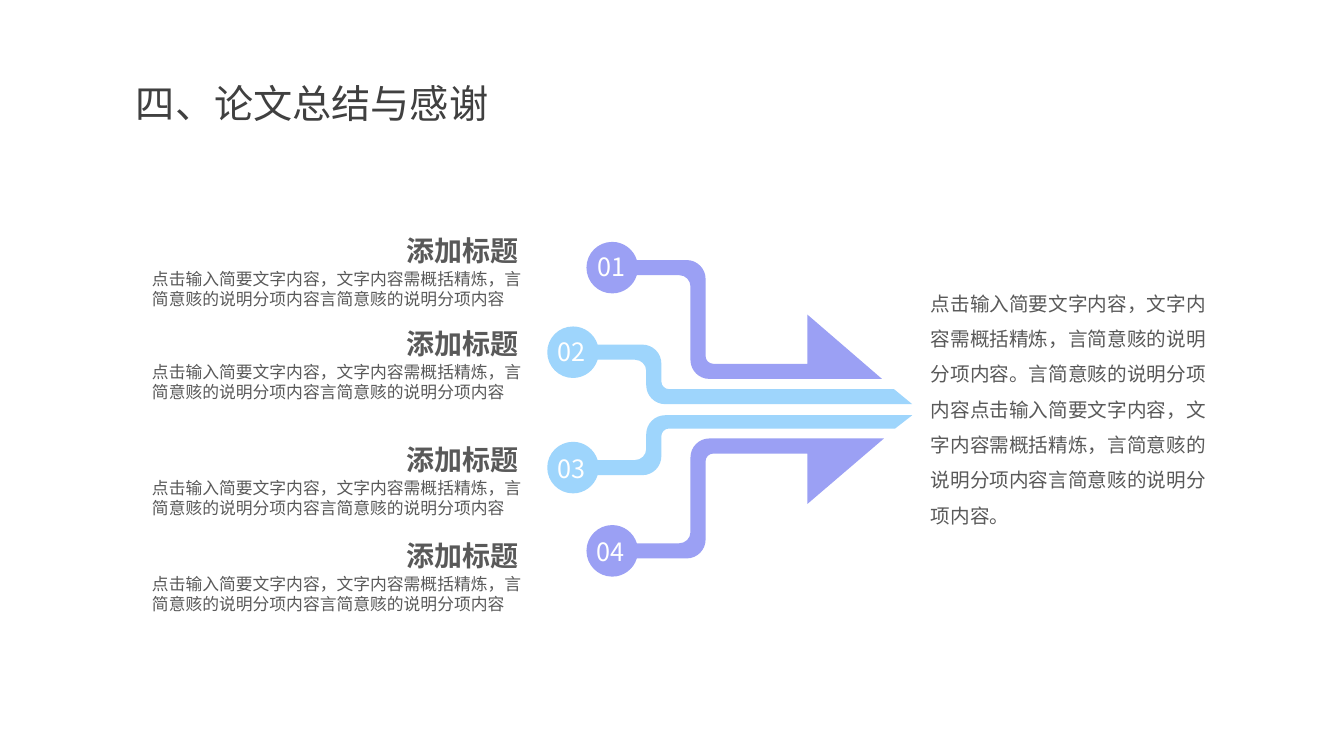
import math

from lxml import etree
from pptx import Presentation
from pptx.dml.color import RGBColor
from pptx.enum.text import MSO_AUTO_SIZE, PP_ALIGN
from pptx.oxml.ns import qn
from pptx.util import Pt

LEFT, RIGHT = PP_ALIGN.LEFT, PP_ALIGN.RIGHT
GROW = MSO_AUTO_SIZE.SHAPE_TO_FIT_TEXT

# Content
FONT = "Noto Sans CJK SC"
DARK, GREY, WHITE = "404040", "595959", "FFFFFF"
PURPLE, BLUE = "9BA0F4", "9ED5FC"
TITLE = "四、论文总结与感谢"
ITEM_TITLE = "添加标题 "
ITEM_BODY = "点击输入简要文字内容，文字内容需概括精炼，言简意赅的说明分项内容言简意赅的说明分项内容"
SUMMARY = ("点击输入简要文字内容，文字内容需概括精炼，言简意赅的说明分项内容。"
           "言简意赅的说明分项内容点击输入简要文字内容，文字内容需概括精炼，"
           "言简意赅的说明分项内容言简意赅的说明分项内容。")
ITEM_TOPS = [163.4, 229.7, 312.5, 381.2]
NUMBERS = [("01", 419.8, 175.7), ("02", 391, 236.9), ("03", 391, 320.4), ("04", 419, 379.4)]

# Arrows: colour, head centre, direction (1 down, -1 up), bend left edge,
# inner and outer shaft edge below the head, then the tail as (x, offset)
ARROWS = [
    (BLUE, (409.3, 251.6), 1, 461.6, 26.4, 37.1, [(638.6, 26.4), (651.6, 37.1)]),
    (PURPLE, (437.3, 191.2), 1, 493.2, 68.7, 79.5,
     [(576.7, 68.7), (576.7, 33.5), (630, 79.5)]),
    (BLUE, (409.3, 334), -1, 461.6, 27.9, 37.4, [(639.4, 27.9), (651.6, 37.4)]),
    (PURPLE, (437.3, 393.5), -1, 493.2, 69.5, 80.3,
     [(576.7, 69.5), (576.7, 33.5), (631.4, 80.3)]),
]
HEAD_RADIUS, HALF_STEM = 18.4, 5.4
WIDE, MIDDLE, TIGHT = 13.5, 8, 5.5
CORNER_PULL = 0.55


def colour(hex_string):
    return RGBColor.from_string(hex_string)


def add_text(shapes, text, box, size, text_colour, align=LEFT, bold=False,
             spacing=None, wrap=True):
    shape = shapes.add_textbox(*(Pt(value) for value in box))
    frame = shape.text_frame
    frame.word_wrap = wrap
    frame.auto_size = GROW
    paragraph = frame.paragraphs[0]
    paragraph.text = text
    paragraph.alignment = align
    if spacing:
        paragraph.line_spacing = spacing
    font = paragraph.font
    font.name, font.size, font.bold = FONT, Pt(size), bold
    font.color.rgb = colour(text_colour)
    properties = paragraph._p.pPr.find(qn("a:defRPr"))
    etree.SubElement(properties, qn("a:ea")).set("typeface", FONT)


def head_curves(centre_x):
    """Start point and curves around the head, from one stem side to the other."""
    opening = math.asin(HALF_STEM / HEAD_RADIUS)
    angles = [opening, math.pi / 2, math.pi, 1.5 * math.pi, 2 * math.pi - opening]

    def on_circle(angle, handle=0):
        return (centre_x + HEAD_RADIUS * (math.cos(angle) - handle * math.sin(angle)),
                HEAD_RADIUS * (math.sin(angle) + handle * math.cos(angle)))

    curves = []
    for start, end in zip(angles, angles[1:]):
        handle = 4 / 3 * math.tan((end - start) / 4)
        curves.append([on_circle(start, handle), on_circle(end, -handle), on_circle(end)])
    return on_circle(opening), curves


def round_corner(before, corner, after, radius):
    """A line up to the corner, then a curve around it."""
    def toward(point, distance):
        share = distance / math.dist(corner, point)
        return tuple(c + (p - c) * share for c, p in zip(corner, point))

    near = radius * (1 - CORNER_PULL)
    return [[toward(before, radius)],
            [toward(before, near), toward(after, near), toward(after, radius)]]


def arrow_outline(centre_x, bend, inner, outer, tail):
    """Start point and segments: one point is a line, three are a curve."""
    start, segments = head_curves(centre_x)
    bend_right = bend + 2 * HALF_STEM
    corners = [
        (bend_right, -HALF_STEM, WIDE),
        (bend_right, inner, TIGHT),
        *((x, y, 0) for x, y in tail),
        (bend, outer, WIDE),
        (bend, HALF_STEM, MIDDLE),
    ]
    route = [segments[-1][-1], *((x, y) for x, y, _ in corners), start]
    for before, (x, y, radius), after in zip(route, corners, route[2:]):
        if radius:
            segments += round_corner(before, (x, y), after, radius)
        else:
            segments.append([(x, y)])
    return start, segments


def add_arrow(shapes, fill, centre, direction, *geometry):
    centre_x, centre_y = centre
    start, segments = arrow_outline(centre_x, *geometry)

    def place(point):
        return Pt(point[0]), Pt(centre_y + direction * point[1])

    builder = shapes.build_freeform(*place(start))
    builder.add_line_segments([place(p) for segment in segments for p in segment], close=True)
    shape = builder.convert_to_shape()

    # Join each run of three points into one Bézier curve
    lines = iter(list(shape._element.iter(qn("a:lnTo"))))
    for segment in segments:
        steps = [next(lines) for _ in segment]
        if len(steps) == 3:
            curve = etree.Element(qn("a:cubicBezTo"))
            steps[0].addprevious(curve)
            for step in steps:
                curve.append(step[0])
                step.getparent().remove(step)

    shape.shadow.inherit = False
    shape.fill.solid()
    shape.fill.fore_color.rgb = colour(fill)
    shape.line.fill.background()


def main():
    presentation = Presentation()
    presentation.slide_width, presentation.slide_height = Pt(960), Pt(540)
    slide = presentation.slides.add_slide(presentation.slide_layouts[6])
    shapes = slide.shapes

    add_text(shapes, TITLE, (90, 52.9, 351.4, 41), 28, DARK)

    # Arrows with numbered heads
    diagram = shapes.add_group_shape().shapes
    for arrow in ARROWS:
        add_arrow(diagram, *arrow)
    for label, left, top in NUMBERS:
        add_text(diagram, label, (left, top, 36, 29), 18, WHITE, wrap=False)

    # Items on the left
    for top in ITEM_TOPS:
        add_text(shapes, ITEM_BODY, (101.5, top + 25.2, 280, 36), 12, GREY)
        add_text(shapes, ITEM_TITLE, (269.6, top, 112.3, 31.5), 20, GREY, RIGHT, True)

    # Summary on the right
    add_text(shapes, SUMMARY, (657.8, 196.5, 211, 183), 14, GREY, spacing=1.5)

    presentation.save("out.pptx")


if __name__ == "__main__":
    main()
